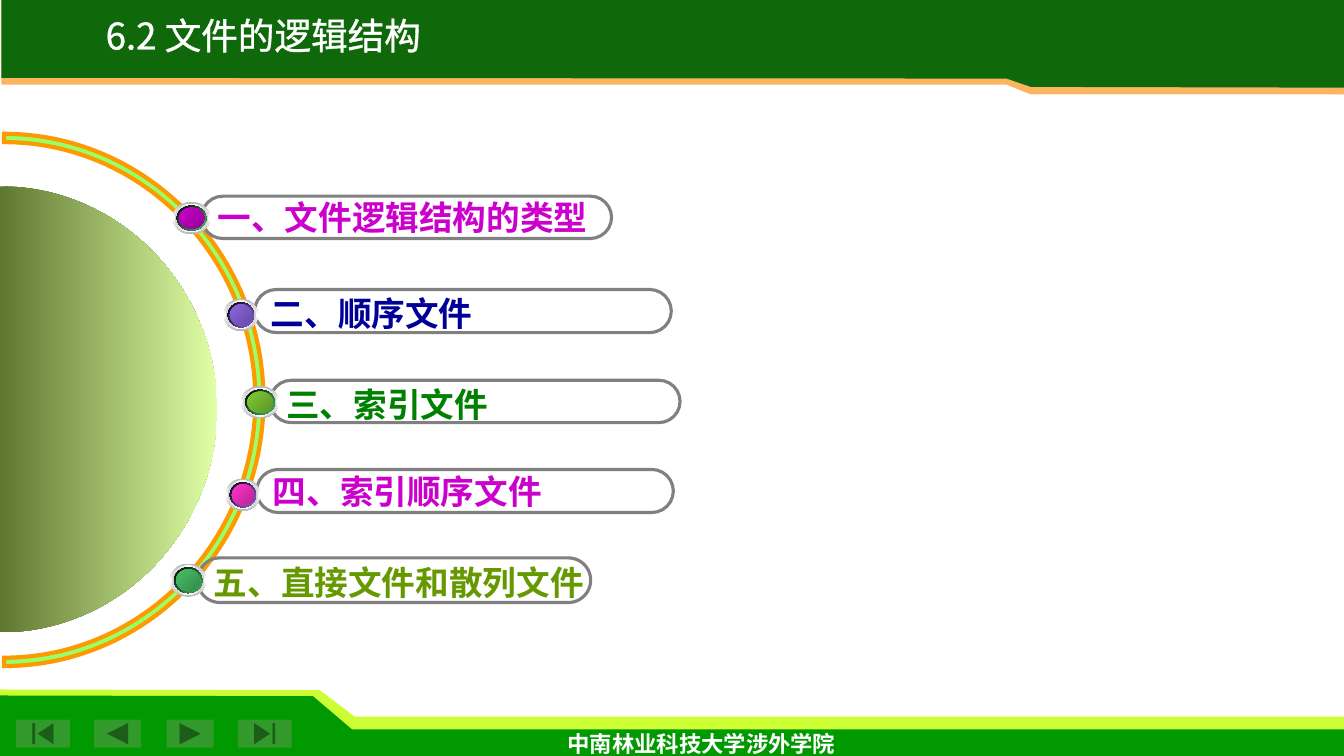
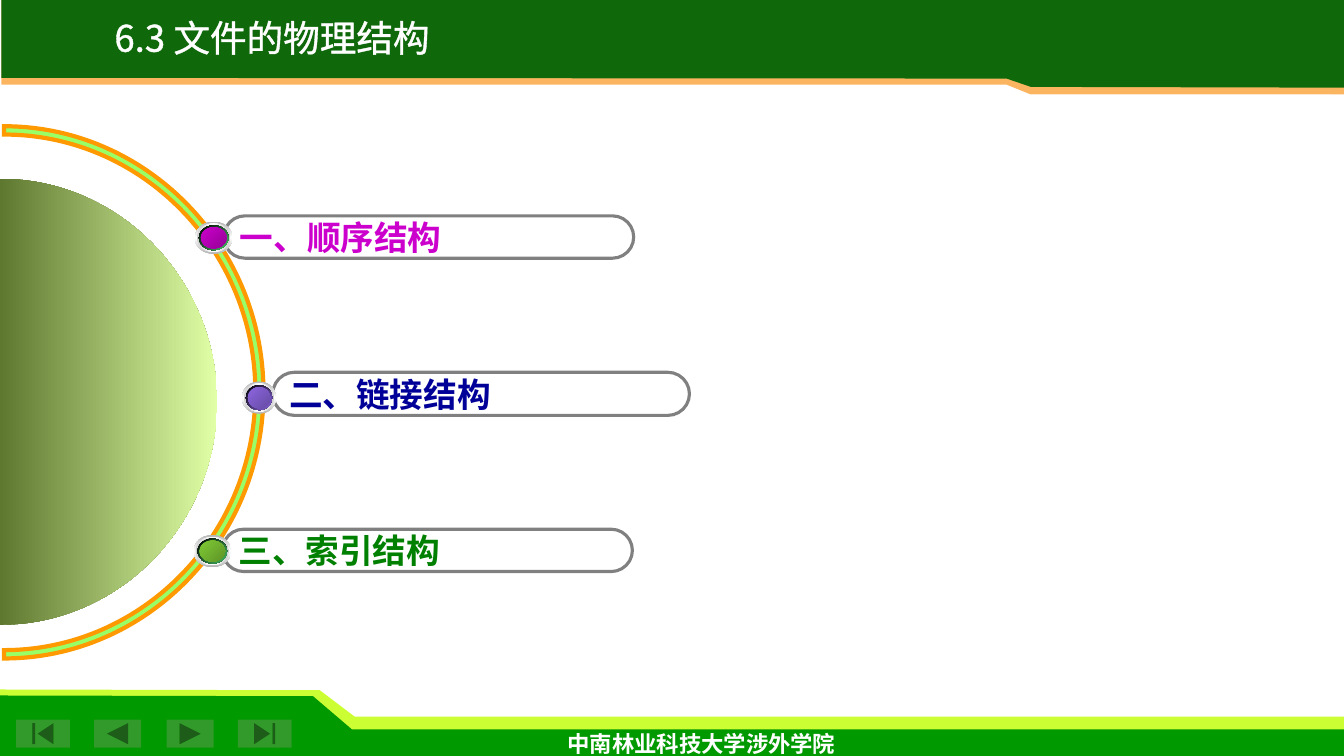
from pptx import Presentation, util as u
from pptx.dml.color import RGBColor
from pptx.enum import shapes as es, text as et
from pptx.oxml import parse_xml
from pptx.oxml.ns import nsdecls, qn

WIDE, HIGH = 13.33, 7.5
BOW = 0.55  # handle length of a quarter ellipse
CJK = "Noto Sans CJK SC"
HEX = {
    "white": "FFFFFF", "black": "000000", "grey": "808080",
    "lime": "CCFF33", "green": "009900", "button": "329A2A",
    "sand": "FBB561", "forest": "0F690B",
    "arc": "99FF66", "edge": "FF9900", "moss": "5F7830", "pale": "E0FFA6",
    "steel": "B6B6B6", "silver": "D1D1D1", "mint": "48BE67", "violet": "8D67E1",
    "plum": "CC00CC", "navy": "000099", "leaf": "008000", "olive": "669900",
    "red": "CC0000",
}
# Light and dark end of each bead
CORES = {
    "plum": ("CC00CC", "950095"), "violet": ("8D67E1", "674BA4"),
    "grass": ("80CB35", "5E9427"), "pink": ("FF33CC", "BA2595"),
    "mint": ("48BE67", "358B4B"),
}
# Pill width and height, bead offset and size, in percent of the slide
KINDS = {
    "slim": {"pill": (30.5, 5.6), "bead": (-2.15, 0.75, 2.8, 4.3), "rim": "mint"},
    "long": {"pill": (31, 5.7), "bead": (-2.3, 1.2, 2.55, 4.3), "rim": "violet"},
    "short": {"pill": (29.25, 5.9), "bead": (-2.05, 0.75, 2.7, 4.4), "rim": "mint"},
}
BANDS = [
    ("lime", [(0, 91.2), (23.8, 91.3), (26.4, 94.8), (100, 94.8), (100, 98.7), (0, 98.7)]),
    ("green", [(0, 92), (23.3, 92.1), (26.2, 96.5), (100, 96.5), (100, 100.1), (0, 100.4)]),
    ("sand", [(0.1, 0), (0.1, 11.2), (74.9, 11.2), (76.7, 12.5), (100, 12.5), (100, 0)]),
    ("forest", [(0.1, 0), (0.1, 10.3), (74.9, 10.4), (76.7, 11.5), (100, 11.6), (100, 0)]),
    ("white", [(75.5, 12.5), (99, 12.5), (99, 13.2), (76.5, 13.3)]),
]
BUTTONS = [
    ("ACTION_BUTTON_BACK_OR_PREVIOUS", 7, 3.5), ("ACTION_BUTTON_FORWARD_OR_NEXT", 12.4, 3.5),
    ("ACTION_BUTTON_BEGINNING", 1.2, 4), ("ACTION_BUTTON_END", 17.7, 4),
]
# Items: words, colour, left, top, kind of pill, bead, and whether a large space ends the line
PAGES = [
    {"title": "6.2 文件的逻辑结构", "box": (3.95, 2.1, 31.3, 6.1), "mid": 52.9, "items": [
        ("三、索引文件", "leaf", 20.1, 50.3, "slim", "grass", True),
        ("四、索引顺序文件", "plum", 19.1, 62.1, "long", "pink", False),
        ("五、直接文件和散列文件", "olive", 14.7, 73.8, "short", "mint", True),
        ("一、文件逻辑结构的类型", "plum", 15, 25.95, "slim", "plum", False),
        ("二、顺序文件", "navy", 18.95, 38.3, "long", "violet", True)]},
    {"title": "6.3 文件的物理结构", "box": (3.4, 2.4, 33.7, 6.1), "mid": 51.9, "items": [
        ("三、索引结构", "leaf", 16.55, 70, "slim", "grass", False),
        ("一、顺序结构", "plum", 16.65, 28.55, "slim", "plum", False),
        ("二、链接结构", "navy", 20.3, 49.25, "long", "violet", False)]},
]


def scale(*vals):
    """Turn alternating percents of width and height into lengths."""
    return [u.Inches(v * (HIGH if i % 2 else WIDE) / 100) for i, v in enumerate(vals)]


def put(obj, **vals):
    for key, val in vals.items():
        setattr(obj, key, val)


def node(words):
    """Make a drawing element from its tag and content."""
    tag, rest = words.split("|")
    return parse_xml(f"<a:{tag.split()[0]} {nsdecls('a')} {' '.join(tag.split()[1:])}>"
                     f"{rest}</a:{tag.split()[0]}>")


def paint(shape, fill=None, line=None, width=1):
    shape.shadow.inherit = False
    for part, hue in ((shape.fill, fill), (shape.line.fill, line)):
        if hue:
            part.solid()
            part.fore_color.rgb = RGBColor.from_string(HEX[hue])
        else:
            part.background()
    if line:
        shape.line.width = u.Pt(width)
    return shape


def blend(shape, hues, angle):
    """Fill with evenly spaced colours, the angle running clockwise."""
    paint(shape)
    stops = "".join(
        f'<a:gs pos="{i * 100000 // (len(hues) - 1)}"><a:srgbClr val="{hue}"/></a:gs>'
        for i, hue in enumerate(hues))
    props = shape._element.spPr
    props.replace(props.find(qn("a:noFill")), node(
        f'gradFill rotWithShape="1"|<a:gsLst>{stops}</a:gsLst>'
        f'<a:lin ang="{angle * 60000}" scaled="0"/>'))


def add(para, words, font, size, hue, bold=False):
    run = para.add_run()
    run.text = words
    put(run.font, name=font, size=u.Pt(size), bold=bold)
    run.font.color.rgb = RGBColor.from_string(HEX[hue])
    run.font._element.find(qn("a:latin")).addnext(node(f'ea typeface="{CJK}"|'))
    return run


def write(shape, align=et.PP_ALIGN.LEFT, **frame):
    put(shape.text_frame, **frame)
    para = shape.text_frame.paragraphs[0]
    para.alignment = align
    return para


def trace(slide, points):
    first, *rest = [scale(*point) for point in points]
    pen = slide.shapes.build_freeform(*first)
    pen.add_line_segments(rest, close=True)
    return pen.convert_to_shape()


def curve(left, mid, wide, high):
    """Knots and handles of a right half ellipse, from top to bottom."""
    turns = [(0, -1), (BOW, -1), (1, -BOW), (1, 0), (1, BOW), (BOW, 1), (0, 1)]
    return [(left + wide * x, mid + high * y) for x, y in turns]


def bend(shape, starts):
    """Join three straight steps into one curve at each of the given starts."""
    steps = list(shape._element.iter(qn("a:lnTo")))
    for i in starts:
        arc = node("cubicBezTo|")
        steps[i].addprevious(arc)
        for step in steps[i:i + 3]:
            arc.append(step[0])
            step.getparent().remove(step)
    return shape


def frame(slide, layout):
    """Draw the shared bands, buttons and footer, then move them to the layout."""
    for hue, points in BANDS:
        band = paint(trace(slide, points), hue)
    band._element.spPr.find(qn("a:solidFill"))[0].append(node('alpha val="30000"|'))
    for name, left, wide in BUTTONS:
        kind = getattr(es.MSO_SHAPE, name)
        paint(slide.shapes.add_shape(kind, *scale(left, 95.2, wide, 3.7)), "button")
    foot = slide.shapes.add_textbox(*scale(31.1, 95.9, 42.2, 4.9))
    add(write(foot, et.PP_ALIGN.CENTER, word_wrap=True),
        "中南林业科技大学涉外学院", "Times New Roman", 16, "white", True)
    tree = layout.shapes._spTree
    for old in list(layout.placeholders):
        if old.placeholder_format.type != es.PP_PLACEHOLDER.TITLE:
            tree.remove(old._element)
    for shape in list(slide.shapes):
        if not shape.is_placeholder:
            tree.append(shape._element)


def head(slide, words, box):
    title = slide.shapes.title
    put(title, **dict(zip(("left", "top", "width", "height"), scale(*box))))
    para = write(title, et.PP_ALIGN.CENTER, word_wrap=False,
                 auto_size=et.MSO_AUTO_SIZE.NONE, vertical_anchor=et.MSO_ANCHOR.MIDDLE)
    para.line_spacing = 0.8
    run = add(para, words, CJK, 26.1, "white")
    run.font._element.insert(0, node(
        f'ln w="{u.Pt(1.5)}"|<a:solidFill><a:srgbClr val="{HEX["white"]}"/></a:solidFill>'))


def dial(slide, mid):
    ring = curve(0.3, mid, 19.3, 35.2) + curve(0.3, mid, 18.7, 34.1)[::-1]
    arc = paint(bend(trace(slide, ring), (0, 3, 7, 10)), "arc", "edge", 3)
    arc.line._ln.append(node('miter lim="800000"|'))
    disc = bend(trace(slide, curve(0, mid + 1.25, 16.15, 29.5)), (0, 3))
    blend(disc, (HEX["moss"], HEX["pale"]), 0)


def bead(slide, left, top, wide, high, rim, core):
    steel, silver, white = HEX["steel"], HEX["silver"], HEX["white"]
    coats = [((steel, white, steel), 90), ((silver, white, silver), 0),
             ((HEX["black"], HEX[rim]), 45), (CORES[core], 45)]
    for i, (hues, angle) in enumerate(coats):
        dx, dy = 0.15 * i, 0.25 * i
        box = scale(left + dx, top + dy, wide - 2 * dx, high - 2 * dy)
        blend(slide.shapes.add_shape(es.MSO_SHAPE.OVAL, *box), hues, angle)


def item(slide, words, hue, left, top, kind, core, tail):
    spec = KINDS[kind]
    pill = slide.shapes.add_shape(es.MSO_SHAPE.ROUNDED_RECTANGLE,
                                  *scale(left, top, *spec["pill"]))
    pill.adjustments[0] = 0.5
    paint(pill, None, "grey", 2.25)
    para = write(pill, word_wrap=False, vertical_anchor=et.MSO_ANCHOR.MIDDLE)
    add(para, words, "Arial", 24, hue, True)
    if tail:
        add(para, " ", "Times New Roman", 28, "red", True)
    dx, dy, wide, high = spec["bead"]
    bead(slide, left + dx, top + dy, wide, high, spec["rim"], core)


def main():
    deck = Presentation()
    put(deck, slide_width=u.Inches(WIDE), slide_height=u.Inches(HIGH))
    layout = deck.slide_layouts.get_by_name("Title Only")
    for i, page in enumerate(PAGES):
        slide = deck.slides.add_slide(layout)
        if i == 0:
            frame(slide, layout)
        head(slide, page["title"], page["box"])
        dial(slide, page["mid"])
        for entry in page["items"]:
            item(slide, *entry)
    deck.save("out.pptx")


if __name__ == "__main__":
    main()
